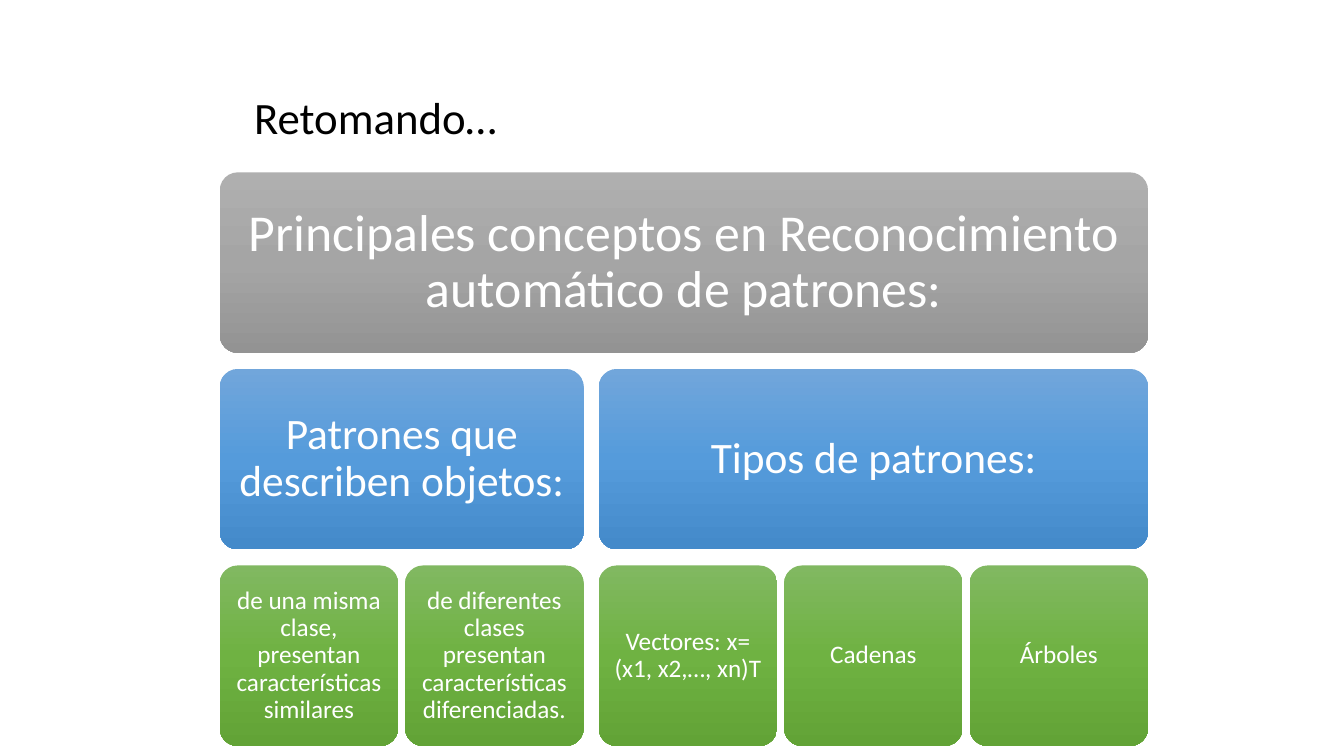
from copy import deepcopy

from pptx import Presentation
from pptx.dml.color import RGBColor
from pptx.enum.shapes import MSO_SHAPE as Shape
from pptx.enum.text import MSO_ANCHOR as Anchor, MSO_AUTO_SIZE as AutoSize, PP_ALIGN as Align
from pptx.oxml.ns import qn
from pptx.util import Pt

PX = 9144  # EMU in one px, at 100 px to the inch
COLORS = {
    "text": "000000",
    "box_text": "FFFFFF",
    "gray": ("AFAFAF", "A5A5A5", "939393"),
    "blue": ("71A6DB", "559BDB", "448ACA"),
    "green": ("81B861", "6FB242", "62A336"),
}

# Hierarchy grid
LEFT, TOP = 218, 171
BOX_HEIGHT, ROW_PITCH = 179, 195
LEAF_WIDTH, LEAF_GAP, BRANCH_GAP = 177, 7, 15

# Fill, text size and inset of each level
LEVELS = [("gray", 37, 15), ("blue", 31, 13), ("green", 18, 7)]

ROOT = "Principales conceptos en Reconocimiento automático de patrones:"
BRANCHES = [
    ("Patrones que describen objetos:", [
        "de una misma clase, presentan características similares",
        "de diferentes clases presentan características diferenciadas.",
    ]),
    ("Tipos de patrones:", ["Vectores: x= (x1, x2,…, xn)T", "Cadenas", "Árboles"]),
]


def px(value):
    return round(value * PX)


def set_text(shape, text, size, color, align=Align.LEFT, insets=(10, 5)):
    frame = shape.text_frame
    frame.text = text
    frame.word_wrap = True
    frame.auto_size = AutoSize.NONE
    frame.vertical_anchor = Anchor.MIDDLE
    frame.margin_left = frame.margin_right = px(insets[0])
    frame.margin_top = frame.margin_bottom = px(insets[1])
    paragraph = frame.paragraphs[0]
    paragraph.alignment = align
    paragraph.line_spacing = 0.9
    font = paragraph.runs[0].font
    font.name = "Calibri"
    font.size = Pt(size)
    font.color.rgb = RGBColor.from_string(COLORS[color])


def set_gradient(shape, colors):
    fill = shape.fill
    fill.gradient()
    fill.gradient_angle = 270  # counter-clockwise: runs from top to bottom
    stop_list = next(shape.element.iter(qn("a:gsLst")))
    stop_list.append(deepcopy(stop_list[-1]))
    for stop, position, color in zip(fill.gradient_stops, (0, 0.5, 1), colors):
        stop.position = position
        stop.color.rgb = RGBColor.from_string(color)


def add_box(slide, text, level, left, width):
    fill, size, inset = LEVELS[level]
    top = TOP + level * ROW_PITCH
    shape = slide.shapes.add_shape(
        Shape.ROUNDED_RECTANGLE, px(left), px(top), px(width), px(BOX_HEIGHT))
    shape.adjustments[0] = 0.1
    shape.shadow.inherit = False
    shape.line.fill.background()
    set_gradient(shape, COLORS[fill])
    set_text(shape, text, size, "box_text", Align.CENTER, (inset, inset))


def add_title(slide, text):
    title = slide.shapes.title
    title.left, title.top, title.width, title.height = map(px, (242, 69, 850, 101))
    set_text(title, text, 32, "text")


def add_hierarchy(slide):
    # Each branch spans its leaves, and the root spans the branches
    left = LEFT
    for branch, leaves in BRANCHES:
        pitch = LEAF_WIDTH + LEAF_GAP
        width = len(leaves) * pitch - LEAF_GAP
        add_box(slide, branch, 1, left, width)
        for index, leaf in enumerate(leaves):
            add_box(slide, leaf, 2, left + index * pitch, LEAF_WIDTH)
        left += width + BRANCH_GAP
    add_box(slide, ROOT, 0, LEFT, left - BRANCH_GAP - LEFT)


def main():
    presentation = Presentation()
    presentation.slide_width = px(1333.33)
    presentation.slide_height = px(750)
    slide = presentation.slides.add_slide(presentation.slide_layouts[5])
    add_title(slide, "Retomando…")
    add_hierarchy(slide)
    presentation.save("out.pptx")


if __name__ == "__main__":
    main()
